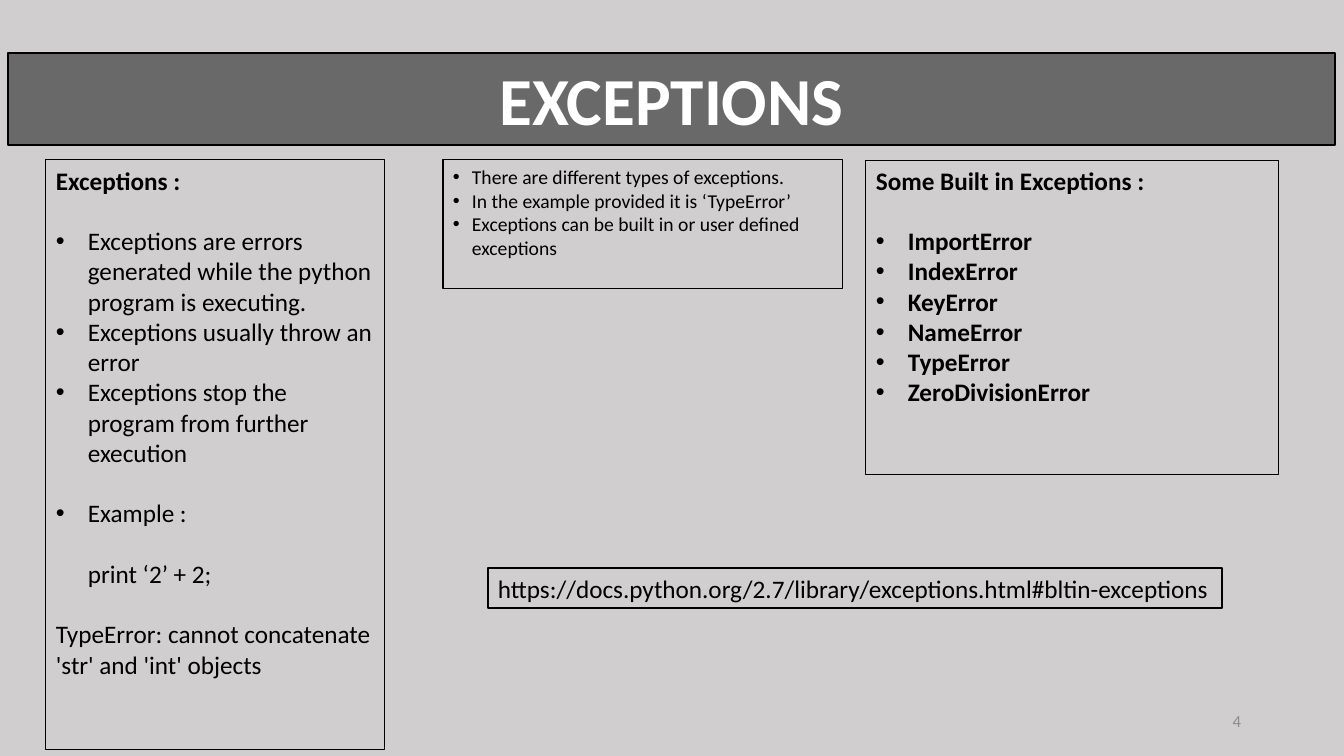
from pptx import Presentation
from pptx.util import Emu, Pt
from pptx.dml.color import RGBColor
from pptx.enum.shapes import MSO_SHAPE
from pptx.enum.text import MSO_ANCHOR, PP_ALIGN
from lxml.etree import SubElement
from pptx.oxml.ns import qn

PX = 9071  # EMU in one pixel
GAP = Pt(21.6)  # one line of 18 pt text


def hue(code):
    return RGBColor.from_string(code)


def panel(place, rows, size, edge, indent=0, bold=False, color="000000",
          align=PP_ALIGN.LEFT, anchor=MSO_ANCHOR.TOP):
    """Each row: text, bold, mark ("dot", "in" or ""), gap before."""
    box = slide.shapes.add_shape(MSO_SHAPE.RECTANGLE, *[Emu(n * PX) for n in place])
    box.shadow.inherit = False
    box.fill.background()
    if edge:
        box.line.color.rgb = hue("000000")
        box.line.width = Pt(edge)
    else:
        box.line.fill.background()
    frame = box.text_frame
    frame.word_wrap = True
    frame.vertical_anchor = anchor
    for i, (text, heavy, mark, gap) in enumerate(rows):
        para = frame.add_paragraph() if i else frame.paragraphs[0]
        para.alignment = align
        if gap:
            para.space_before = GAP
        if mark:
            props = para._p.get_or_add_pPr()
            props.set("marL", str(indent * PX))
            if mark == "dot":
                props.set("indent", str(-indent * PX))
                SubElement(props, qn("a:buFont")).set("typeface", "Arial")
                SubElement(props, qn("a:buChar")).set("char", "•")
        run = para.add_run()
        run.text = text
        run.font.name = "Calibri"
        run.font.size = Pt(size)
        run.font.bold = heavy or bold
        run.font.color.rgb = hue(color)
    return box


deck = Presentation()
deck.slide_width, deck.slide_height = Emu(1344 * PX), Emu(756 * PX)
slide = deck.slides.add_slide(deck.slide_layouts[6])
slide.background.fill.solid()
slide.background.fill.fore_color.rgb = hue("D0CECE")

# Link
panel((488, 568, 734, 40),
      [("https://docs.python.org/2.7/library/exceptions.html#bltin-exceptions", False, "", False)],
      18, 1.75)

# Title bar, half clear black
bar = panel((8, 53, 1327, 92), [("EXCEPTIONS", True, "", False)], 48, 1.75,
            color="FFFFFF", align=PP_ALIGN.CENTER)
bar.fill.solid()
bar.fill.fore_color.rgb = hue("000000")
tint = bar.fill._xPr.find(qn("a:solidFill"))[0]
SubElement(tint, qn("a:alpha")).set("val", "49000")

# What exceptions are
panel((46, 160, 339, 590), [
    ("Exceptions :", True, "", False),
    ("Exceptions are errors generated while the python program is executing.", False, "dot", True),
    ("Exceptions usually throw an error", False, "dot", False),
    ("Exceptions stop the program from further execution", False, "dot", False),
    ("Example :", False, "dot", True),
    ("print ‘2’ + 2;", False, "in", True),
    ("TypeError: cannot concatenate 'str' and 'int' objects", False, "", True),
], 18, 0.75, indent=32)

# Built in exceptions
names = ["ImportError", "IndexError", "KeyError", "NameError", "TypeError", "ZeroDivisionError"]
panel((866, 160, 413, 315),
      [("Some Built in Exceptions :", True, "", False)]
      + [(name, True, "dot", name == names[0]) for name in names],
      18, 0.75, indent=32)

# Types
facts = ["There are different types of exceptions.",
         "In the example provided it is ‘TypeError’",
         "Exceptions can be built in or user defined exceptions"]
panel((443, 160, 400, 129), [(fact, False, "dot", False) for fact in facts],
      14, 0.75, indent=19)

# Slide number
panel((949, 701, 302, 40), [("4", False, "", False)], 12, 0, color="8C8C8C",
      align=PP_ALIGN.RIGHT, anchor=MSO_ANCHOR.MIDDLE)

deck.save("out.pptx")
